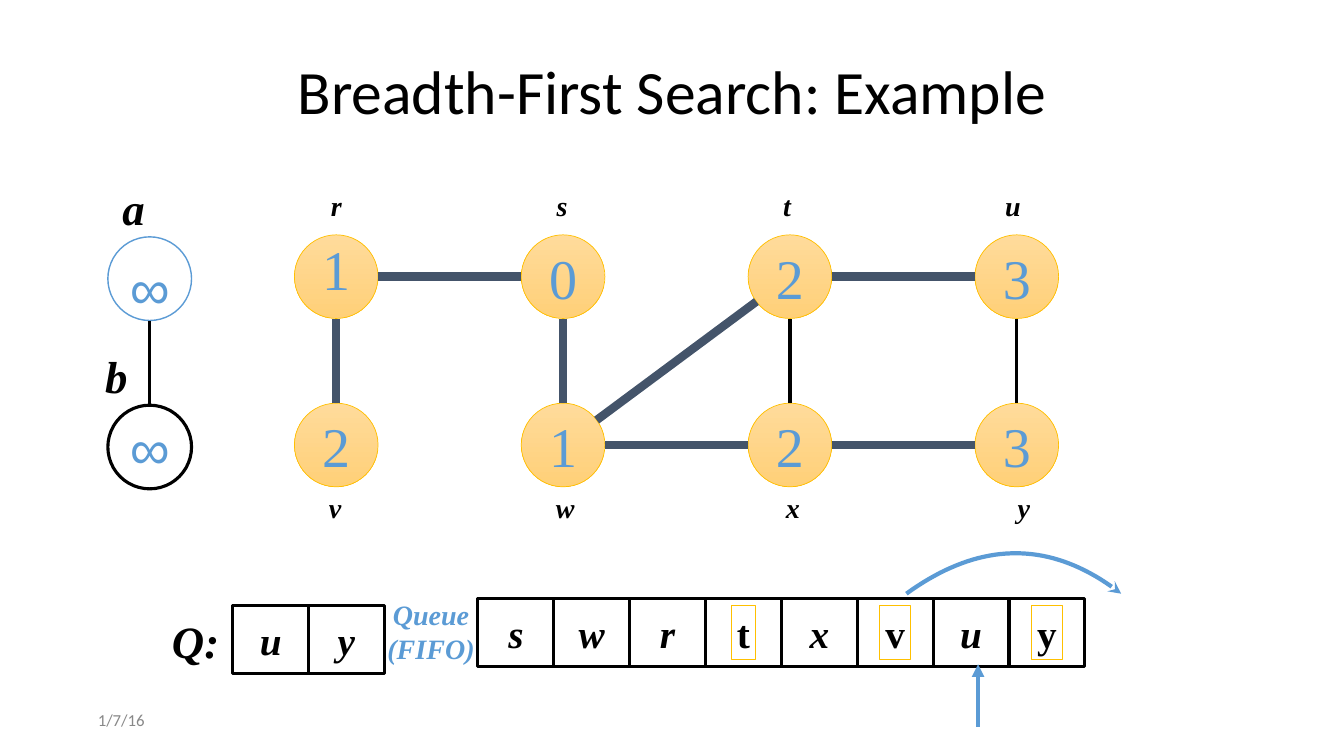
import math
from collections import namedtuple

import pptx
import pptx.dml.color
import pptx.enum.shapes
import pptx.enum.text
import pptx.oxml
import pptx.oxml.ns
import pptx.util
from pptx.util import Inches

Box = namedtuple("Box", "left top width height")
Shapes = pptx.enum.shapes.MSO_SHAPE
Align = pptx.enum.text.PP_ALIGN

SERIF = "Times New Roman"
BLACK, BLUE, SLATE, GOLD = "000000", "5B9BD5", "44546A", "FFC000"
DISC = 0.83
CELL_HEIGHT = 0.67
# Advance widths of the single letters, in ems; digits and the rest are half an em
EMS = {"r": 0.44, "s": 0.39, "t": 0.33, "u": 0.56, "w": 0.7, "Q": 0.72, ":": 0.33, "∞": 0.71}

# name: (column, row, distance, sideways shift of the name)
NODES = {
    "r": (0, 0, "1", 0), "s": (1, 0, "0", -0.01), "t": (2, 0, "2", -0.03), "u": (3, 0, "3", -0.04),
    "v": (0, 1, "2", -0.01), "w": (1, 1, "1", 0.02), "x": (2, 1, "2", 0.03), "y": (3, 1, "3", 0.07),
}
TREE_EDGES = ["vr", "rs", "sw", "wt", "wx", "tu", "xy"]
OTHER_EDGES = ["xt", "yu"]


def color(hex_string):
    return pptx.dml.color.RGBColor.from_string(hex_string)


def inches(*lengths):
    return [Inches(length) for length in lengths]


def stroke(line, hex_string, width):
    line.color.rgb = color(hex_string)
    line.width = pptx.util.Pt(width)


def add_arrowhead(shape, kind):
    outline = shape.line._get_or_add_ln()
    pptx.oxml.ns.qn("a:tailEnd")
    outline.append(pptx.oxml.parse_xml(
        f'<a:tailEnd {pptx.oxml.ns.nsdecls("a")} type="{kind}"/>'))


def add_outline(page, kind, box, line_color, width):
    shape = page.shapes.add_shape(kind, *inches(*box))
    shape.shadow.inherit = False
    shape.fill.background()
    stroke(shape.line, line_color, width)
    return shape


def add_line(page, start, end, line_color, width):
    line = page.shapes.add_connector(
        pptx.enum.shapes.MSO_CONNECTOR.STRAIGHT, *inches(*start, *end))
    line._element.spPr.append(
        pptx.oxml.parse_xml(f'<a:effectLst {pptx.oxml.ns.nsdecls("a")}/>'))
    stroke(line.line, line_color, width)
    return line


def add_text(page, text, box, size, hex_string=BLACK, font=SERIF, bold=False, italic=False,
             align=Align.CENTER, wrap=True, spacing=None):
    shape = page.shapes.add_textbox(*inches(*box))
    frame = shape.text_frame
    frame.word_wrap = wrap
    frame.vertical_anchor = pptx.enum.text.MSO_ANCHOR.MIDDLE
    frame.margin_left = frame.margin_right = Inches(0.05)
    frame.margin_top = frame.margin_bottom = Inches(0.05)
    frame.text = text
    for para in frame.paragraphs:
        para.alignment = align
        if spacing:
            para.line_spacing = spacing
        for span in para.runs:
            span.font.name = font
            span.font.size = pptx.util.Pt(size)
            span.font.bold, span.font.italic = bold, italic
            span.font.color.rgb = color(hex_string)
    return shape


def add_symbol(page, text, center, size, **style):
    """A short unwrapped text in a box that fits it, centred on a point."""
    width = 0.11 + sum(EMS.get(letter, 0.5) for letter in text) * size / 72
    height = 0.09 + 1.15 * size / 72
    box = Box(center[0] - width / 2, center[1] - height / 2, width, height)
    return add_text(page, text, box, size, wrap=False, **style)


def add_edge(page, start, end, line_color, width):
    """A line between two disc centres, cut at the rims."""
    share = DISC / 2 / math.dist(start, end)
    step = [(b - a) * share for a, b in zip(start, end)]
    add_line(page, [a + d for a, d in zip(start, step)],
             [b - d for b, d in zip(end, step)], line_color, width)


def draw_graph(page, box):
    column, row = (box.width - DISC) / 3, box.height - DISC
    centers = {name: (box.left + DISC / 2 + node[0] * column, box.top + DISC / 2 + node[1] * row)
               for name, node in NODES.items()}
    # Discs with distances, and names outside
    for name, (_, level, distance, shift) in NODES.items():
        x, y = centers[name]
        disc = add_outline(page, Shapes.OVAL, Box(x - DISC / 2, y - DISC / 2, DISC, DISC), GOLD, 0.5)
        disc.fill.gradient()
        disc.fill.gradient_angle = 270
        for stop, shade in zip(disc.fill.gradient_stops, ("FFDB9B", "FFD078")):
            stop.color.rgb = color(shade)
        add_symbol(page, distance, (x, y), 40, hex_string=BLUE,
                   spacing=0.7 if name == "r" else None)
        add_symbol(page, name, (x + shift, y + (0.62 if level else -0.71)), 20,
                   bold=True, italic=True)
    # Edges
    for edges, line_color, width in ((TREE_EDGES, SLATE, 6), (OTHER_EDGES, BLACK, 2.25)):
        for start, end in edges:
            add_edge(page, centers[start], centers[end], line_color, width)


def draw_unreached_pair(page, box):
    x = box.left + DISC / 2
    upper, lower = box.top + DISC / 2, box.top + box.height - DISC / 2
    for name, y, line_color, width, name_shift, sign_drop in (
            ("a", upper, BLUE, 1, -0.16, 0.08), ("b", lower, BLACK, 2.25, -0.33, 0)):
        add_outline(page, Shapes.OVAL, Box(box.left, y - DISC / 2, DISC, DISC), line_color, width)
        add_symbol(page, "∞", (x, y + sign_drop), 40, hex_string=BLUE, font="Arial")
        add_symbol(page, name, (x + name_shift, y - 0.71), 32, bold=True, italic=True)
    add_edge(page, (x, upper), (x, lower), BLACK, 2.25)


def draw_queue(page, box, letters, framed=""):
    pitch = box.width / len(letters)
    for index, letter in enumerate(letters):
        left = box.left + index * pitch
        add_outline(page, Shapes.RECTANGLE, Box(left, box.top, pitch, box.height), BLACK, 2.25)
        symbol = add_symbol(page, letter, (left + pitch / 2, box.top + box.height / 2), 28,
                            bold=True, italic=letter not in framed)
        if letter in framed:
            stroke(symbol.line, GOLD, 0.5)


def draw_arrows(page, box):
    # Arc over the cells, sampled from a cubic curve
    controls = [(0, 0), (0.35, -0.54), (0.68, -0.53), (1, 0)]
    weights = (1, 3, 3, 1)
    points = []
    for step in range(41):
        t = step / 40
        basis = [w * t ** k * (1 - t) ** (3 - k) for k, w in enumerate(weights)]
        points.append((
            Inches(box.left + box.width * sum(b * c[0] for b, c in zip(basis, controls))),
            Inches(box.top + sum(b * c[1] for b, c in zip(basis, controls)))))
    builder = page.shapes.build_freeform(*points[0])
    builder.add_line_segments(points[1:], close=False)
    arc = builder.convert_to_shape()
    arc.shadow.inherit = False
    arc.fill.background()
    stroke(arc.line, BLUE, 3)
    add_arrowhead(arc, "stealth")
    # Pointer from below
    x = box.left + box.width / 3
    pointer = add_line(page, (x, box.top + box.height), (x, box.top + 0.7), BLUE, 3)
    add_arrowhead(pointer, "triangle")


def main():
    deck = pptx.Presentation()
    deck.slide_width, deck.slide_height = inches(13.33, 7.5)
    page = deck.slides.add_slide(deck.slide_layouts[6])

    # Title and date
    add_text(page, "Breadth-First Search: Example", Box(0.92, 0.4, 11.5, 1.07), 44,
             font="Calibri", spacing=0.9)
    add_text(page, "1/7/16", Box(0.92, 7, 3, 0.29), 12, hex_string="888888", font="Calibri",
             align=Align.LEFT)

    # Graph
    draw_graph(page, Box(2.92, 2.33, 7.58, 2.5))
    draw_unreached_pair(page, Box(1.07, 2.35, DISC, 2.5))

    # Queue
    add_symbol(page, "Q:", (1.94, 6.35), 32, bold=True, italic=True)
    draw_queue(page, Box(2.31, 6.01, 1.5, CELL_HEIGHT), "uy")
    draw_queue(page, Box(4.74, 5.94, 6.02, CELL_HEIGHT), "swrtxvuy", framed="tvy")
    add_text(page, "Queue\n(FIFO)", Box(3.77, 5.9, 1.01, 0.73), 20, hex_string=BLUE,
             bold=True, italic=True)
    draw_arrows(page, Box(8.99, 5.89, 2.13, 1.32))

    deck.save("out.pptx")


if __name__ == "__main__":
    main()
